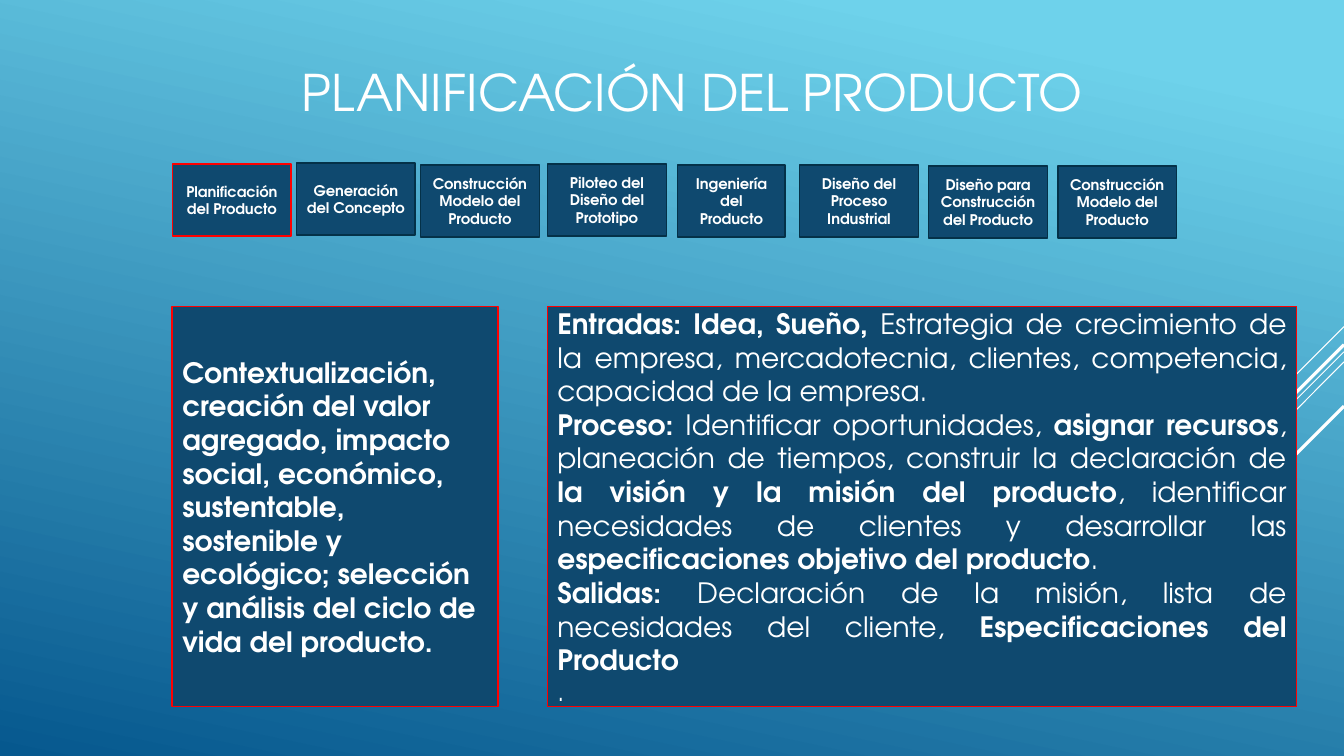
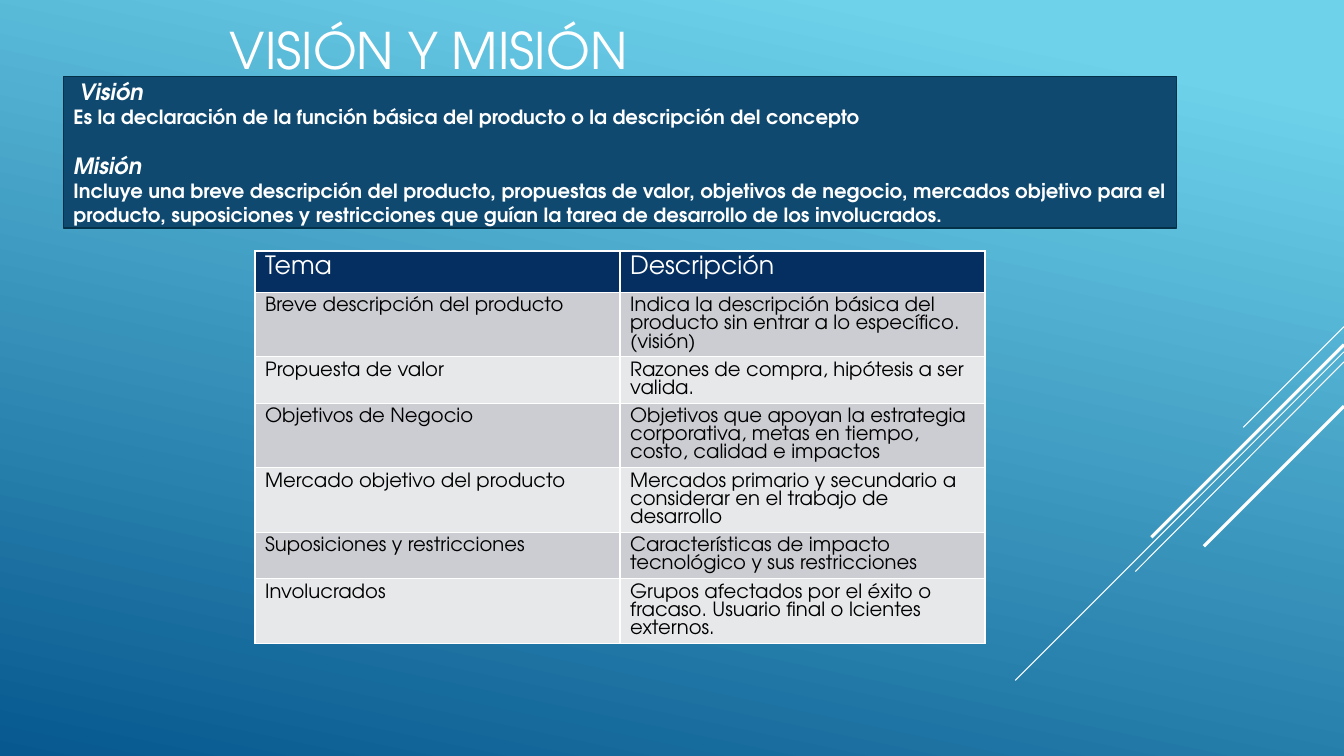
from lxml import etree
from pptx import Presentation
from pptx.dml.color import RGBColor
from pptx.enum.shapes import MSO_CONNECTOR, MSO_SHAPE
from pptx.enum.text import MSO_ANCHOR, MSO_AUTO_SIZE, PP_ALIGN
from pptx.oxml.ns import qn
from pptx.util import Inches, Pt

STRAIGHT = MSO_CONNECTOR.STRAIGHT
RECTANGLE = MSO_SHAPE.RECTANGLE
MIDDLE = MSO_ANCHOR.MIDDLE
NO_AUTOFIT = MSO_AUTO_SIZE.NONE
LEFT, CENTER, JUSTIFY = PP_ALIGN.LEFT, PP_ALIGN.CENTER, PP_ALIGN.JUSTIFY

FONT = "TeX Gyre Adventor"
WHITE, BLACK, RED = "FFFFFF", "000000", "FF0000"
PANEL, PANEL_EDGE = "0F496F", "043148"
HEADER_FILL = "052F61"
ROW_FILLS = ("CCCDD2", "E7E8EA")
SKY, DEEP_BLUE = "6ED2EB", "06588E"
TITLE_ONLY = 5

RAYS = [
    (3.24, 12.33, 4.24, 0.75),
    (3.49, 10.07, 6.75, 0.75),
    (3.59, 11.26, 5.67, 0.75),
    (3.42, 11.42, 5.33, 2.25),
    (4.03, 11.94, 5.42, 2.25),
]

PHASES = [
    ("Planificación del Producto", 1.71, 1.63, 1.18),
    ("Generación del Concepto", 2.94, 1.62, 1.18),
    ("Construcción Modelo del Producto", 4.17, 1.64, 1.18),
    ("Piloteo del Diseño del Prototipo", 5.43, 1.63, 1.18),
    ("Ingeniería del Producto", 6.72, 1.64, 1.07),
    ("Diseño del Proceso Industrial", 7.93, 1.64, 1.18),
    ("Diseño para Construcción del Producto", 9.21, 1.65, 1.18),
    ("Construcción Modelo del Producto", 10.49, 1.65, 1.18),
]

CONTEXT = (
    "Contextualización, creación del valor agregado, impacto social, económico, "
    "sustentable, sostenible y ecológico; selección y análisis del ciclo de vida del producto."
)

FLOW = [
    [
        ("Entradas: Idea, Sueño, ", True),
        ("Estrategia de crecimiento de la empresa, mercadotecnia, clientes, "
         "competencia, capacidad de la empresa.", False),
    ],
    [
        ("Proceso: ", True),
        ("Identificar oportunidades, ", False),
        ("asignar recursos", True),
        (", planeación de tiempos, construir la declaración de ", False),
        ("la visión y la misión del producto", True),
        (", identificar necesidades de clientes y desarrollar las ", False),
        ("especificaciones objetivo del producto", True),
        (".", False),
    ],
    [
        ("Salidas: ", True),
        ("Declaración de la misión, lista de necesidades del cliente, ", False),
        ("Especificaciones del Producto", True),
    ],
]

DEFINITIONS = [
    ("Visión", "Es la declaración de la función básica del producto o la descripción del concepto"),
    ("Misión", "Incluye una breve descripción del producto, propuestas de valor, objetivos de "
               "negocio, mercados objetivo para el producto, suposiciones y restricciones que "
               "guían la tarea de desarrollo de los involucrados."),
]

TOPICS = [
    ("Breve descripción del producto",
     "Indica la descripción básica del producto sin entrar a lo específico.\n(visión)", 3),
    ("Propuesta de valor", "Razones de compra, hipótesis a ser valida.", 2),
    ("Objetivos de Negocio",
     "Objetivos que apoyan la estrategia corporativa, metas en tiempo, costo, calidad e impactos", 3),
    ("Mercado objetivo del producto",
     "Mercados primario y secundario a considerar en el trabajo de desarrollo", 3),
    ("Suposiciones y restricciones",
     "Características de impacto tecnológico y sus restricciones", 2),
    ("Involucrados",
     "Grupos afectados por el éxito o fracaso. Usuario final o lcientes externos.", 3),
]


def rgb(color):
    return RGBColor.from_string(color)


def add_run(paragraph, text, size, color=WHITE, bold=False, italic=False):
    run = paragraph.add_run()
    run.text = text
    font = run.font
    font.name, font.size, font.bold, font.italic = FONT, Pt(size), bold, italic
    font.color.rgb = rgb(color)


def next_paragraph(frame, alignment=LEFT):
    first = frame.paragraphs[0]
    paragraph = frame.add_paragraph() if first.runs else first
    paragraph.alignment = alignment
    return paragraph


def add_ray(slide, layout, index, ray):
    top, end_left, end_top, weight = ray
    connector = slide.shapes.add_connector(
        STRAIGHT, Inches(13.33), Inches(top), Inches(end_left), Inches(end_top))
    connector.line.color.rgb = rgb(WHITE)
    connector.line.width = Pt(weight)
    element = connector.element
    etree.SubElement(element.spPr, qn("a:effectLst"))
    element.nvCxnSpPr.cNvPr.set("id", str(100 + index))
    layout.shapes.element.append(element)


def decorate_layout(layout, slide):
    fill = layout.background.fill
    fill.gradient()
    fill.gradient_angle = 258
    for stop, color, position in zip(fill.gradient_stops, (SKY, DEEP_BLUE), (0.1, 1)):
        stop.color.rgb = rgb(color)
        stop.position = position
    for index, ray in enumerate(RAYS):
        add_ray(slide, layout, index, ray)


def set_title(slide, text, left, top, width, height):
    title = slide.shapes.title
    title.left, title.top = Inches(left), Inches(top)
    title.width, title.height = Inches(width), Inches(height)
    frame = title.text_frame
    frame.auto_size = NO_AUTOFIT
    frame.word_wrap = True
    frame.vertical_anchor = MIDDLE
    add_run(next_paragraph(frame), text, 36)


def add_panel(slide, left, top, width, height, edge=PANEL_EDGE):
    shape = slide.shapes.add_shape(
        RECTANGLE, Inches(left), Inches(top), Inches(width), Inches(height))
    shape.shadow.inherit = False
    shape.fill.solid()
    shape.fill.fore_color.rgb = rgb(PANEL)
    shape.line.color.rgb = rgb(edge)
    shape.line.width = Pt(1.25)
    frame = shape.text_frame
    frame.word_wrap = True
    frame.vertical_anchor = MIDDLE
    return frame


def set_borders(cell):
    properties = cell._tc.get_or_add_tcPr()
    for side in ("lnL", "lnR", "lnT", "lnB"):
        line = etree.SubElement(properties, qn("a:" + side), w=str(Pt(1)))
        fill = etree.SubElement(line, qn("a:solidFill"))
        etree.SubElement(fill, qn("a:srgbClr"), val=WHITE)


def fill_cell(cell, text, size, color, fill):
    set_borders(cell)
    cell.fill.solid()
    cell.fill.fore_color.rgb = rgb(fill)
    for line in text.split("\n"):
        add_run(next_paragraph(cell.text_frame), line, size, color)


def add_topic_table(slide, left, top, column_width):
    heights = [0.41] + [0.1 + 0.18 * lines for _, _, lines in TOPICS]
    table = slide.shapes.add_table(
        len(heights), 2, Inches(left), Inches(top),
        Inches(2 * column_width), Inches(sum(heights))).table
    table.first_row = table.horz_banding = False
    for column in table.columns:
        column.width = Inches(column_width)
    for row, height in zip(table.rows, heights):
        row.height = Inches(height)
    for column, heading in enumerate(("Tema", "Descripción")):
        fill_cell(table.cell(0, column), heading, 18, WHITE, HEADER_FILL)
    for index, topic in enumerate(TOPICS):
        for column, text in enumerate(topic[:2]):
            fill_cell(table.cell(index + 1, column), text, 14, BLACK, ROW_FILLS[index % 2])


def build_planning(slide):
    set_title(slide, "PLANIFICACIÓN DEL PRODUCTO", 2.89, 0.28, 9.33, 1.26)
    for index, (text, left, top, width) in enumerate(PHASES):
        edge = PANEL_EDGE if index else RED
        frame = add_panel(slide, left, top, width, 0.71, edge)
        add_run(next_paragraph(frame, CENTER), text, 10.5, bold=True)
    frame = add_panel(slide, 1.71, 3.04, 3.23, 3.97, RED)
    add_run(next_paragraph(frame), CONTEXT, 20, bold=True)
    frame = add_panel(slide, 5.43, 3.04, 7.43, 3.97, RED)
    for runs in FLOW:
        paragraph = next_paragraph(frame, JUSTIFY)
        for text, bold in runs:
            add_run(paragraph, text, 20, bold=bold)
    add_run(next_paragraph(frame, JUSTIFY), ".", 18)


def build_vision(slide):
    set_title(slide, "VISIÓN Y MISIÓN", 2.18, 0.13, 9, 0.71)
    frame = add_panel(slide, 0.63, 0.76, 11.04, 1.5)
    for index, (term, meaning) in enumerate(DEFINITIONS):
        paragraph = next_paragraph(frame, JUSTIFY)
        if index:
            paragraph.space_before = Pt(17)
        else:
            paragraph._p.get_or_add_pPr().set("indent", str(Inches(0.06)))
        add_run(paragraph, term, 16, bold=True, italic=True)
        add_run(next_paragraph(frame, JUSTIFY), meaning, 14, bold=True)
    add_topic_table(slide, 2.53, 2.49, 3.62)


def main():
    presentation = Presentation()
    presentation.slide_width = Inches(13.33)
    presentation.slide_height = Inches(7.5)
    layout = presentation.slide_layouts[TITLE_ONLY]
    planning = presentation.slides.add_slide(layout)
    decorate_layout(layout, planning)
    build_planning(planning)
    build_vision(presentation.slides.add_slide(layout))
    presentation.save("out.pptx")


if __name__ == "__main__":
    main()
